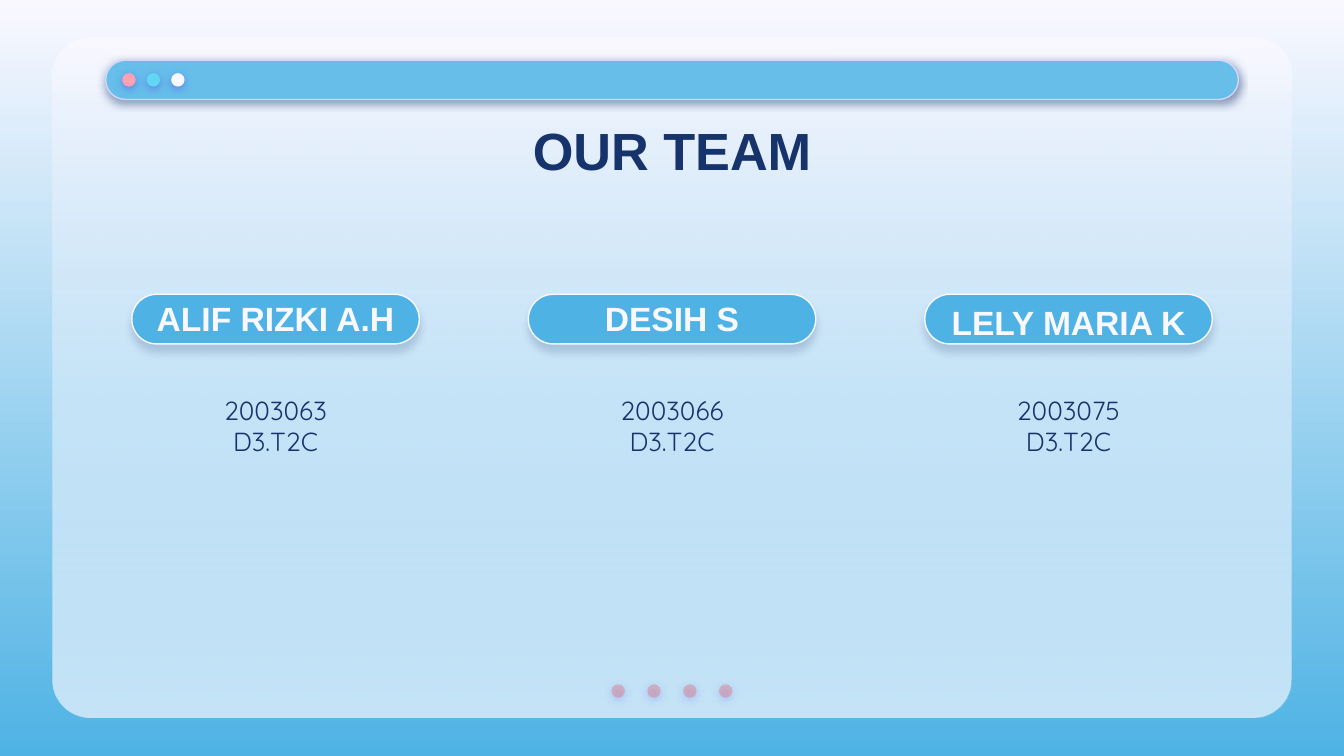
from lxml import etree
from pptx import Presentation
from pptx.dml.color import RGBColor
from pptx.enum import shapes, text
from pptx.oxml.ns import qn
from pptx.util import Pt

TITLE = "OUR TEAM"
CLASS = "D3.T2C"
TEAM = [  # name, number, height of the name box
    ("ALIF RIZKI A.H", "2003063", 18),
    ("DESIH S", "2003066", 18),
    ("LELY MARIA K", "2003075", 23),
]
HEX = {
    "white": "F9F8FF", "sky": "4EB3E4", "bar": "66BEE9", "edge": "D2D6FF",
    "navy": "17336B", "violet": "5352EE", "rose": "E27B83",
    "pink": "FDA0B4", "cyan": "60D8F4",
}
WIDE, HIGH = 720, 405
MID = WIDE / 2
PANEL = (28.1, 20.2, 663.8, 364.4)
BAR = (56.6, 32.3, 606.8, 21)
DOT = 7.2
PILL_W, PILL_H, PILL_TOP, PITCH = 154, 26.6, 157.7, 212.4
ROUND, OVAL = shapes.MSO_SHAPE.ROUNDED_RECTANGLE, shapes.MSO_SHAPE.OVAL


def rgb(name):
    return RGBColor.from_string(HEX[name])


def fade(node, share):
    """Set the opacity, in percent, of the colour inside node."""
    tone = node.find(".//" + qn("a:srgbClr"))
    etree.SubElement(tone, qn("a:alpha"), val=str(share * 1000))


def blend(fill, top, low):
    """Fill with a gradient that runs downwards."""
    fill.gradient()
    fill.gradient_angle = 270
    for stop, name, place in zip(fill.gradient_stops, (top, low), (0, 1)):
        stop.color.rgb = rgb(name)
        stop.position = place


def shade(shape, name, share, drop):
    """Cast a soft shadow straight down."""
    root = shape._element.spPr.find(qn("a:effectLst"))
    cast = etree.SubElement(
        root, qn("a:outerShdw"), blurRad=str(Pt(4.5)), dist=str(Pt(drop)),
        dir="5400000", algn="bl", rotWithShape="0")
    etree.SubElement(cast, qn("a:srgbClr"), val=HEX[name])
    fade(cast, share)


def draw(kind, box, fill, line=None, curve=None):
    shape = slide.shapes.add_shape(kind, *map(Pt, box))
    if curve is not None:
        shape.adjustments[0] = curve
    shape.fill.solid()
    shape.fill.fore_color.rgb = rgb(fill)
    if line:
        shape.line.color.rgb = rgb(line)
        shape.line.width = Pt(0.75)
    else:
        shape.line.fill.background()
    shape.shadow.inherit = False
    return shape


def dot(left, top, fill):
    shape = draw(OVAL, (left, top, DOT, DOT), fill)
    shade(shape, "violet", 50, 1.5)
    return shape


def write(box, lines, size, font, tint, bold=False, space=None):
    frame = slide.shapes.add_textbox(*map(Pt, box)).text_frame
    frame.word_wrap = True
    frame.auto_size = text.MSO_AUTO_SIZE.NONE
    frame.vertical_anchor = text.MSO_ANCHOR.MIDDLE
    frame.margin_left = frame.margin_right = Pt(0)
    frame.margin_top = frame.margin_bottom = Pt(7.2)
    for i, line in enumerate(lines):
        para = frame.add_paragraph() if i else frame.paragraphs[0]
        para.alignment = text.PP_ALIGN.CENTER
        if space:
            para.line_spacing = space
        run = para.add_run()
        run.text = line
        run.font.size, run.font.name, run.font.bold = Pt(size), font, bold
        run.font.color.rgb = rgb(tint)


deck = Presentation()
deck.slide_width, deck.slide_height = Pt(WIDE), Pt(HIGH)
slide = deck.slides.add_slide(deck.slide_layouts[6])
blend(slide.background.fill, "white", "sky")

# Window panel
draw(ROUND, PANEL, "white", curve=0.056)
glass = draw(ROUND, PANEL, "white", curve=0.056)
blend(glass.fill, "white", "bar")
fade(glass._element.spPr.findall(".//" + qn("a:gs"))[-1], 35)

# Page dots and title bar
for i in range(4):
    page = dot(MID + (i - 1.5) * 19.2 - DOT / 2, 366.6, "rose")
    fade(page._element.spPr.find(qn("a:solidFill")), 44)
shade(draw(ROUND, BAR, "bar", "edge", 0.5), "navy", 50, 1.5)
for i, tint in enumerate(("pink", "cyan", "white")):
    dot(65.5 + i * 13.1, 39.2, tint)

write((56.6, 54.7, 606.8, 45.4), [TITLE], 28, "Arial", "navy", True, 1.15)

# Team members
for i, (name, code, tall) in enumerate(TEAM):
    left = MID + (i - 1) * PITCH - PILL_W / 2
    pill = draw(ROUND, (left, PILL_TOP, PILL_W, PILL_H), "sky", "white", 0.5)
    shade(pill, "navy", 18, 3.8)
    write((left, 161.3, PILL_W, tall), [name], 18, "Arial", "white", True)
    write((left, 190.8, PILL_W, 74.2), [code, CLASS], 14, "Quicksand", "navy")

deck.save("out.pptx")
